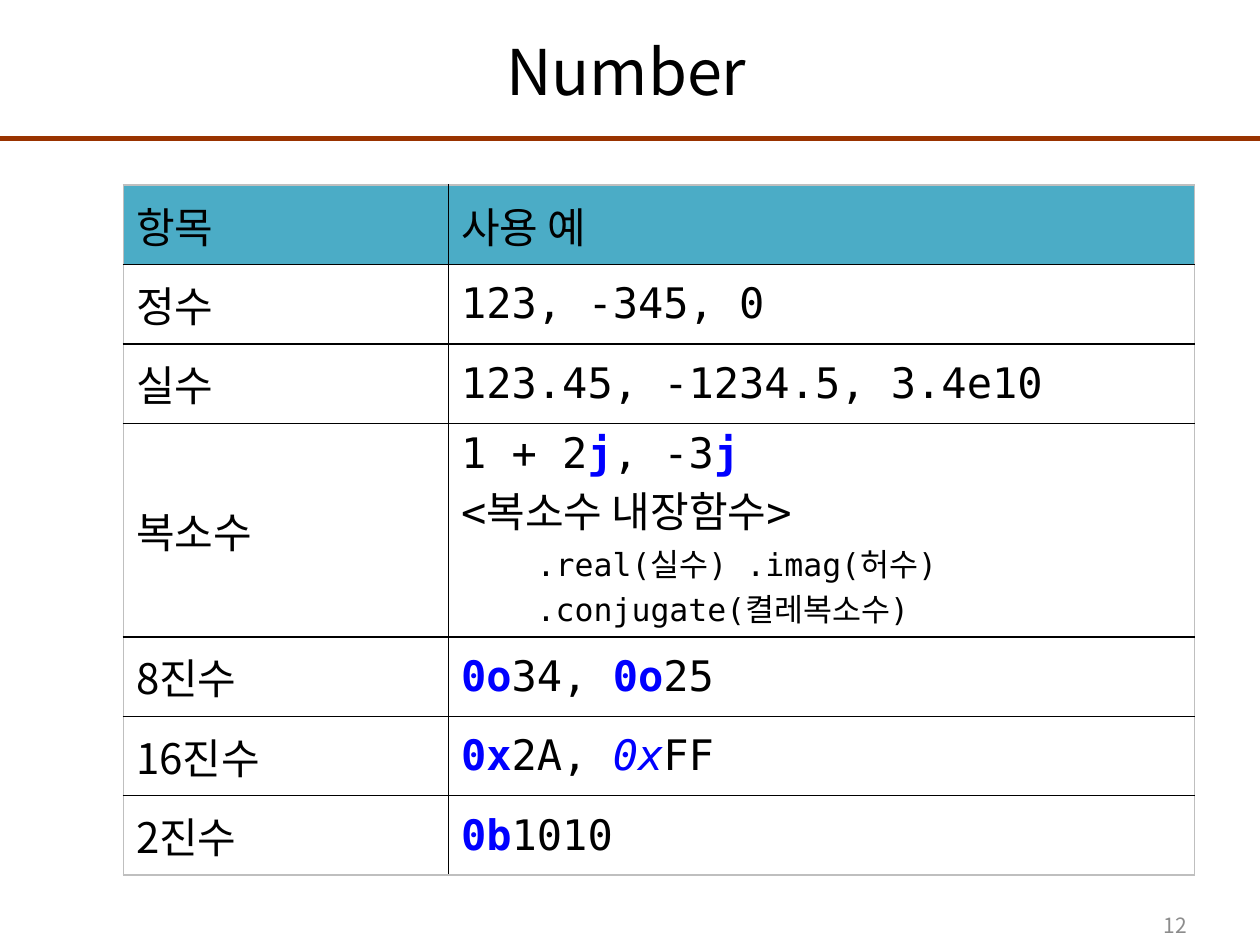
from lxml import etree
from pptx import Presentation
from pptx import util as u
from pptx.dml.color import RGBColor
from pptx.enum import shapes, text
from pptx.oxml.ns import qn

COLORS = {"black": "000000", "blue": "0000FF", "header": "4BACC6",
          "rule": "993300", "number": "8C8C8C", "frame": "BFBFBF"}
SANS, MONO = "Noto Sans CJK KR", "DejaVu Sans Mono"

deck = Presentation()
deck.slide_width, deck.slide_height = u.Inches(10), u.Inches(7.5)
page = deck.slides.add_slide(deck.slide_layouts[5])


def add_span(para, words, size, font=SANS, color="black", style=""):
    """Add one run; style is "", "bold" or "italic"."""
    span = para.add_run()
    span.text = words
    span.font.size = u.Pt(size)
    span.font.name = font
    span.font.bold = style == "bold"
    span.font.italic = style == "italic"
    span.font.color.rgb = RGBColor.from_string(COLORS[color])
    etree.SubElement(span.font._element, qn("a:ea"), typeface=SANS)


def add_border(cell, side, color):
    line = etree.SubElement(cell._tc.get_or_add_tcPr(), qn(f"a:ln{side}"), w=str(u.Pt(1)))
    fill = etree.SubElement(line, qn("a:solidFill"))
    etree.SubElement(fill, qn("a:srgbClr"), val=COLORS[color])


# Rule under the title
rule = page.shapes.add_connector(shapes.MSO_CONNECTOR.STRAIGHT, 0, u.Inches(1.1),
                                 deck.slide_width, u.Inches(1.1))
rule.line.width = u.Pt(3)
rule.line.color.rgb = RGBColor.from_string(COLORS["rule"])
etree.SubElement(rule._element.spPr, qn("a:effectLst"))

# Title and page number
title = page.shapes.title
title.left, title.top, title.width, title.height = map(u.Inches, (0.47, 0.16, 9, 0.79))
number = page.shapes.add_textbox(*map(u.Inches, (7.19, 7.19, 2.33, 0.31)))
for box, words, size, color, align in (
        (title, "Number", 36, "black", text.PP_ALIGN.CENTER),
        (number, "12", 12, "number", text.PP_ALIGN.RIGHT)):
    frame = box.text_frame
    frame.word_wrap = True
    frame.auto_size = text.MSO_AUTO_SIZE.NONE
    frame.vertical_anchor = text.MSO_ANCHOR.MIDDLE
    para = frame.paragraphs[0]
    para.alignment = align
    add_span(para, words, size, color=color)

# Each row: label, then lines of (words, style); styled words are blue
ROWS = [
    ("항목", [[("사용 예", "")]]),
    ("정수", [[("123, -345, 0", "")]]),
    ("실수", [[("123.45, -1234.5, 3.4e10", "")]]),
    ("복소수", [[("1 + 2", ""), ("j", "bold"), (", -3", ""), ("j", "bold")],
             [("<복소수 내장함수>", "")],
             [(".real(실수) .imag(허수)", "")],
             [(".conjugate(켤레복소수)", "")]]),
    ("8진수", [[("0o", "bold"), ("34, ", ""), ("0o", "bold"), ("25", "")]]),
    ("16진수", [[("0x", "bold"), ("2A, ", ""), ("0x", "italic"), ("FF", "")]]),
    ("2진수", [[("0b", "bold"), ("1010", "")]]),
]
WIDTHS = (2.58, 5.92)
ROW_HEIGHT, TALL_ROW_HEIGHT = 0.63, 1.44

table = page.shapes.add_table(len(ROWS), len(WIDTHS),
                              *map(u.Inches, (0.98, 1.47, 8.5, 5.22))).table
table.horz_banding = False
for column, width in zip(table.columns, WIDTHS):
    column.width = u.Inches(width)

for r, (label, examples) in enumerate(ROWS):
    table.rows[r].height = u.Inches(TALL_ROW_HEIGHT if len(examples) > 1 else ROW_HEIGHT)
    for c, lines in enumerate(([[(label, "")]], examples)):
        cell = table.cell(r, c)
        cell.vertical_anchor = text.MSO_ANCHOR.MIDDLE
        outer = {"L": c == 0, "R": c == len(WIDTHS) - 1,
                 "T": r == 0, "B": r == len(ROWS) - 1}
        for side, is_outer in outer.items():
            add_border(cell, side, "frame" if is_outer else "black")
        if r == 0:
            cell.fill.solid()
            cell.fill.fore_color.rgb = RGBColor.from_string(COLORS["header"])
        else:
            cell.fill.background()
        font = MONO if r and c else SANS
        for n, line in enumerate(lines):
            para = cell.text_frame.paragraphs[0] if n == 0 else cell.text_frame.add_paragraph()
            is_method = n >= 2
            if is_method:
                para._p.get_or_add_pPr().set("marL", str(u.Inches(0.6)))
            for words, style in line:
                add_span(para, words, 18 if is_method else 24, font,
                         "blue" if style else "black", style)

deck.save("out.pptx")
